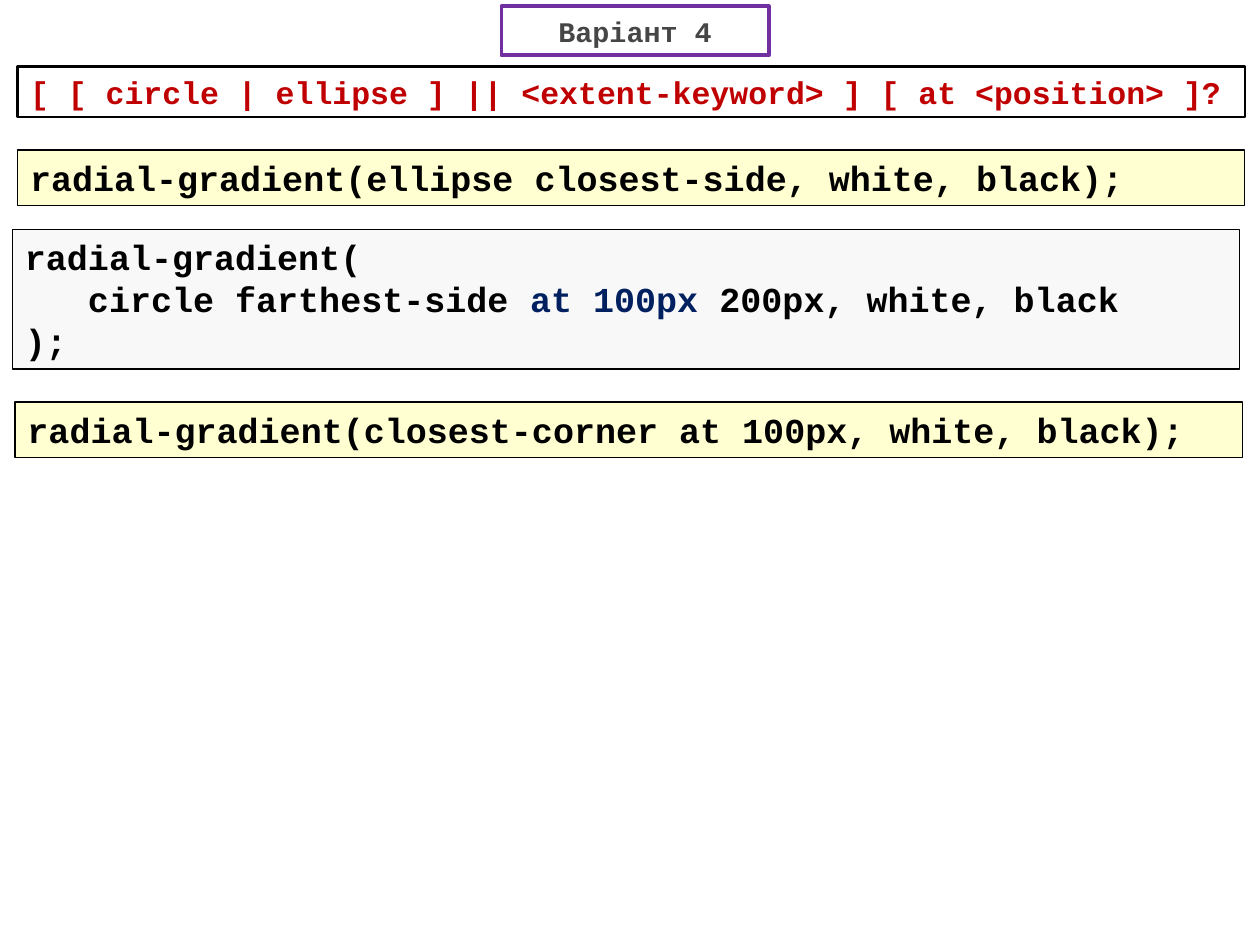
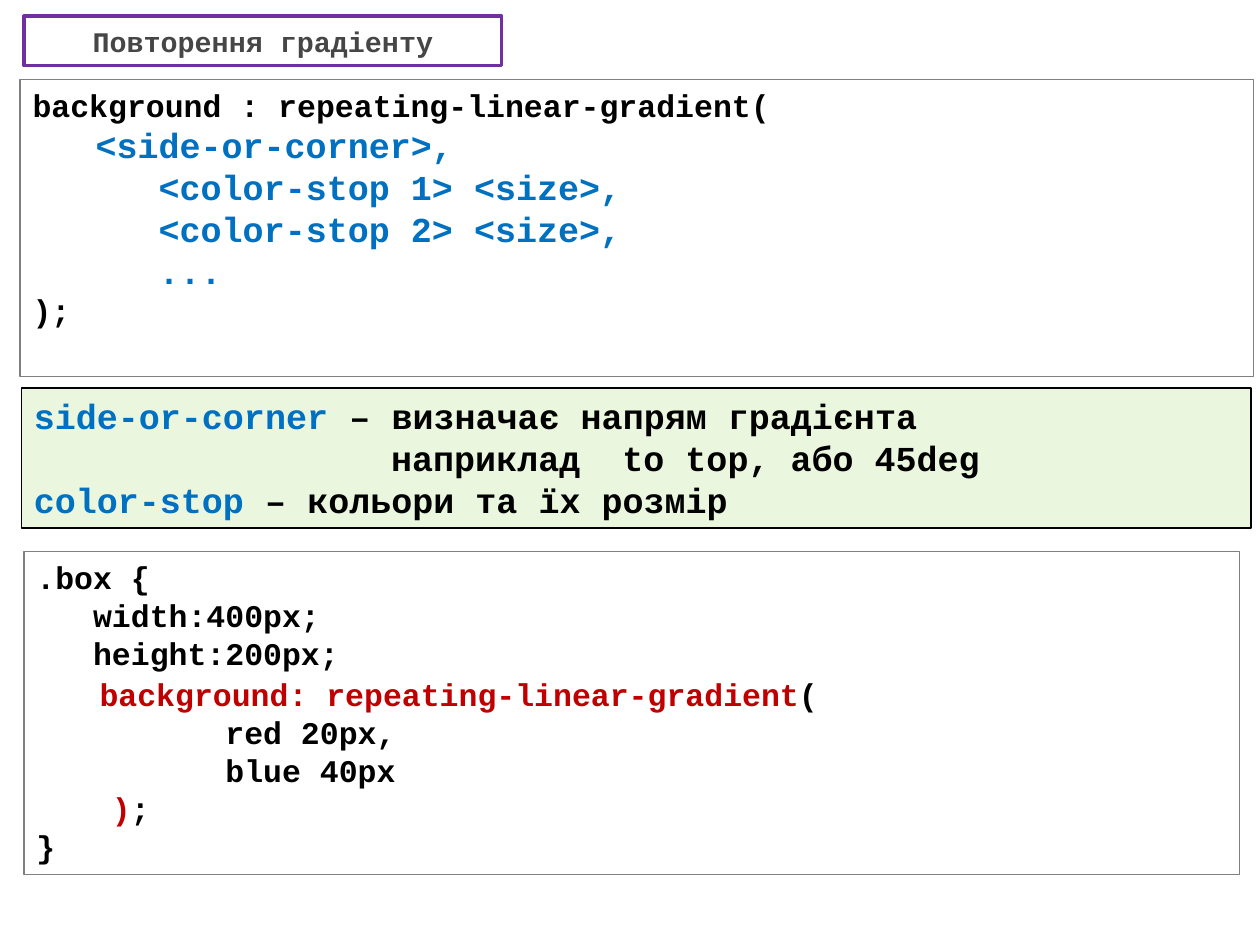
import pptx
import pptx.util
import pptx.dml.color
import pptx.enum.shapes
import pptx.enum.text
import pptx.oxml.ns
import lxml.etree

Inches = pptx.util.Inches
Pt = pptx.util.Pt
FONT = "Courier New"
BLACK, GRAY, RED = "000000", "808080", "C00000"
NAVY, BLUE, YELLOW = "002060", "0070C0", "FFFF00"
SILVER, GREEN = "D9D9D9", "92D050"
TITLE_TEXT, TITLE_LINE, WHITE = "464646", "7030A0", "FFFFFF"
TINT = 18


def rgb(value):
    return pptx.dml.color.RGBColor.from_string(value)


def set_alpha(shape, percent):
    color = shape.fill._xPr.find(".//" + pptx.oxml.ns.qn("a:srgbClr"))
    alpha = lxml.etree.SubElement(color, pptx.oxml.ns.qn("a:alpha"))
    alpha.set("val", str(percent * 1000))


def add_box(s, box, line, width, fill=None):
    sp = s.shapes.add_shape(pptx.enum.shapes.MSO_SHAPE.RECTANGLE, *map(Inches, box))
    sp.shadow.inherit = False
    sp.line.color.rgb = rgb(line)
    sp.line.width = Pt(width)
    if fill:
        sp.fill.solid()
        sp.fill.fore_color.rgb = rgb(fill)
    else:
        sp.fill.background()
    sp.text_frame.word_wrap = True
    return sp


def style(r, size, color):
    r.font.name = FONT
    r.font.size = Pt(size)
    r.font.bold = True
    r.font.color.rgb = rgb(color)


def add_title(s, box, text):
    sp = add_box(s, box, TITLE_LINE, 2.25, WHITE)
    tf = sp.text_frame
    tf.text = text
    tf.vertical_anchor = pptx.enum.text.MSO_ANCHOR.MIDDLE
    p = tf.paragraphs[0]
    p.alignment = pptx.enum.text.PP_ALIGN.CENTER
    style(p.runs[0], 16.2, TITLE_TEXT)


def add_code(s, box, lines, size=20, color=BLACK, line=BLACK, width=0.75, tint=None):
    """Each line is a string or a list of (text, color[, size]) runs."""
    sp = add_box(s, box, line, width, tint)
    if tint:
        set_alpha(sp, TINT)
    tf = sp.text_frame
    tf.vertical_anchor = pptx.enum.text.MSO_ANCHOR.TOP
    for i, runs in enumerate(lines):
        p = tf.add_paragraph() if i else tf.paragraphs[0]
        p.alignment = pptx.enum.text.PP_ALIGN.LEFT
        if isinstance(runs, str):
            runs = [(runs, color)]
        for text, run_color, *run_size in runs:
            r = p.add_run()
            r.text = text
            style(r, run_size[0] if run_size else size, run_color)


def radial_slide(s):
    width = 9.74
    add_code(s, (0.14, 1.19, width, 0.44),
             ["radial-gradient(ellipse closest-side, white, black);"], tint=YELLOW)
    add_code(s, (0.1, 1.82, width, 1.11), [
        "radial-gradient(",
        [("   circle farthest-side ", BLACK), ("at 100px", NAVY),
         (" 200px, white, black", BLACK)],
        ");",
    ], tint=SILVER)
    add_code(s, (0.14, 0.53, width, 0.4),
             ["[ [ circle | ellipse ] || <extent-keyword> ] [ at <position> ]?"],
             size=18, color=RED, width=1.5)
    add_code(s, (0.12, 3.19, width, 0.44),
             ["radial-gradient(closest-corner at 100px, white, black);"], tint=YELLOW)
    add_title(s, (3.98, 0.05, 2.12, 0.39), "Варіант 4")


def repeating_slide(s):
    add_title(s, (0.19, 0.13, 3.79, 0.39), "Повторення градіенту")
    add_code(s, (0.16, 0.63, 9.79, 2.36), [
        [("background : repeating-linear-gradient(", BLACK, 18)],
        [("\t", BLACK, 18), ("<side-or-corner>,", BLUE)],
        "      <color-stop 1> <size>,",
        "      <color-stop 2> <size>,",
        "      ...",
        [(");", BLACK, 18)],
    ], color=BLUE, line=GRAY)
    add_code(s, (0.17, 3.08, 9.76, 1.11), [
        [("side-or-corner ", BLUE), ("– визначає напрям градієнта", BLACK)],
        "                 наприклад  to top, або 45deg",
        [("color-stop", BLUE), (" – кольори та їх розмір", BLACK)],
    ], tint=GREEN)
    add_code(s, (0.19, 4.38, 9.65, 2.56), [
        ".box {",
        "   width:400px;",
        "   height:200px;",
        [("   ", BLACK, 20), ("background: repeating-linear-gradient", RED), ("(", BLACK)],
        "          red 20px,",
        "          blue 40px",
        [("    ", BLACK), (")", RED), (";", BLACK)],
        "}",
    ], size=18, line=GRAY)


def main():
    prs = pptx.Presentation()
    prs.slide_width = Inches(10)
    prs.slide_height = Inches(7.5)
    for build in (radial_slide, repeating_slide):
        build(prs.slides.add_slide(prs.slide_layouts[6]))
    prs.save("out.pptx")


if __name__ == "__main__":
    main()
